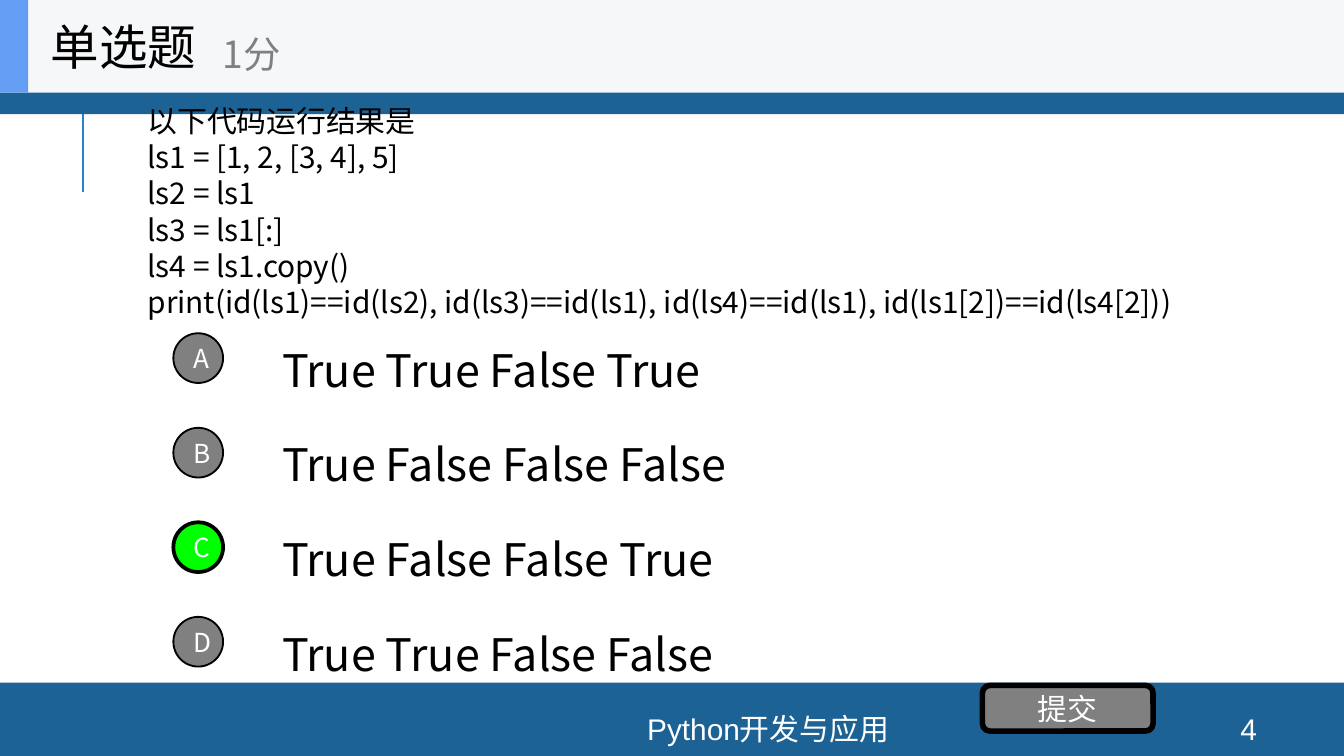
from lxml import etree
from pptx import Presentation
from pptx.dml.color import RGBColor
from pptx.enum.shapes import MSO_CONNECTOR, MSO_SHAPE
from pptx.enum.text import MSO_ANCHOR, PP_ALIGN
from pptx.oxml.ns import qn
from pptx.util import Inches, Pt

RECT, OVAL, ROUNDED = MSO_SHAPE.RECTANGLE, MSO_SHAPE.OVAL, MSO_SHAPE.ROUNDED_RECTANGLE
LEFT, CENTER = PP_ALIGN.LEFT, PP_ALIGN.CENTER
MIDDLE = MSO_ANCHOR.MIDDLE

WIDTH = 10
HEIGHT = WIDTH * 9 / 16
HEADER_HEIGHT = 0.69
FOOTER_TOP, FOOTER_TEXT_TOP = 5.08, 5.31
FIRST_OPTION_TOP, LAST_OPTION_TOP = 2.48, 4.59
BADGE_SIZE = 0.37

CJK, LATIN = "Noto Sans CJK SC", "Arial"
COLORS = {
    "band": "1D6294", "rule": "2683C6", "header": "F6F7F8", "accent": "639EF4",
    "gray": "808080", "correct": "00FF00", "black": "000000", "white": "FFFFFF",
}

QUESTION = [
    "以下代码运行结果是",
    "ls1 = [1, 2, [3, 4], 5]",
    "ls2 = ls1",
    "ls3 = ls1[:]",
    "ls4 = ls1.copy()",
    "print(id(ls1)==id(ls2), id(ls3)==id(ls1), id(ls4)==id(ls1), id(ls1[2])==id(ls4[2]))",
]
OPTIONS = {
    "A": "True True False True",
    "B": "True False False False",
    "C": "True False False True",
    "D": "True True False False",
}
ANSWER = "C"


def color(name):
    return RGBColor.from_string(COLORS[name])


def write(frame, lines, size, ink, align=LEFT, font=CJK, wrap=True, spacing=None):
    """Fill a text frame, one paragraph a line, with a CJK fallback face."""
    frame.word_wrap = wrap
    frame.vertical_anchor = MIDDLE
    for index, line in enumerate(lines):
        paragraph = frame.add_paragraph() if index else frame.paragraphs[0]
        run = paragraph.add_run()
        run.text = line
        paragraph.alignment = align
        if spacing:
            paragraph.line_spacing = spacing
        paragraph.font.size = Pt(size)
        paragraph.font.name = font
        paragraph.font.color.rgb = color(ink)
        east_asian = etree.SubElement(run._r.get_or_add_rPr(), qn("a:ea"))
        east_asian.set("typeface", CJK)


def add_text(slide, box, lines, size, ink="black", **style):
    label = slide.shapes.add_textbox(*map(Inches, box))
    write(label.text_frame, lines, size, ink, **style)


def add_panel(slide, box, fill, kind=RECT, border=None):
    panel = slide.shapes.add_shape(kind, *map(Inches, box))
    panel.shadow.inherit = False
    panel.fill.solid()
    panel.fill.fore_color.rgb = color(fill)
    if border:
        panel.line.color.rgb = color("black")
        panel.line.width = Pt(border)
    else:
        panel.line.fill.background()
    return panel


def add_rule(slide, x, bottom, top):
    rule = slide.shapes.add_connector(
        MSO_CONNECTOR.STRAIGHT, Inches(x), Inches(bottom), Inches(x), Inches(top))
    rule.line.color.rgb = color("rule")
    rule.line.width = Pt(1.2)
    etree.SubElement(rule._element.spPr, qn("a:effectLst"))


def add_bands(slide):
    add_rule(slide, 0.62, 1.43, 0.68)
    add_panel(slide, (0, FOOTER_TOP, WIDTH, HEIGHT - FOOTER_TOP), "band")
    add_panel(slide, (0, -0.03, WIDTH, 0.88), "band")


def add_footer(slide):
    for left, width, caption in ((2.61, 6.21, "Python开发与应用"), (8.89, 0.8, "4")):
        add_text(slide, (left, FOOTER_TEXT_TOP, width, 0.23), [caption], 16, "white",
                 align=CENTER, font=LATIN)


def add_options(slide):
    pitch = (LAST_OPTION_TOP - FIRST_OPTION_TOP) / (len(OPTIONS) - 1)
    for row, (letter, answer) in enumerate(OPTIONS.items()):
        top = FIRST_OPTION_TOP + row * pitch
        add_text(slide, (2, top + 0.12, 5.92, 0.3), [answer], 24)
        fill, border = ("correct", 2) if letter == ANSWER else ("gray", 1)
        badge = add_panel(slide, (1.29, top, BADGE_SIZE, BADGE_SIZE), fill, OVAL, border)
        write(badge.text_frame, [letter], 14, "white", align=CENTER)


def add_submit_button(slide):
    button = add_panel(slide, (7.31, 5.1, 1.27, 0.34), "gray", ROUNDED, 3)
    write(button.text_frame, ["提交"], 16, "white", align=CENTER)


def add_header(slide):
    add_panel(slide, (0, 0, WIDTH, HEADER_HEIGHT), "header")
    add_panel(slide, (0, 0, 0.21, HEADER_HEIGHT), "accent")
    add_text(slide, (0.28, 0, 2.08, HEADER_HEIGHT), ["单选题"], 26, wrap=False)
    add_text(slide, (1.56, 0.12, 2.5, 0.56), ["1分"], 20, "gray", wrap=False)


def main():
    deck = Presentation()
    deck.slide_width, deck.slide_height = Inches(WIDTH), Inches(HEIGHT)
    slide = deck.slides.add_slide(deck.slide_layouts[6])
    add_bands(slide)
    add_footer(slide)
    add_text(slide, (1, 0.69, 8.77, 1.76), QUESTION, 16, spacing=Pt(19.3))
    add_options(slide)
    add_submit_button(slide)
    add_header(slide)
    deck.save("out.pptx")


if __name__ == "__main__":
    main()
